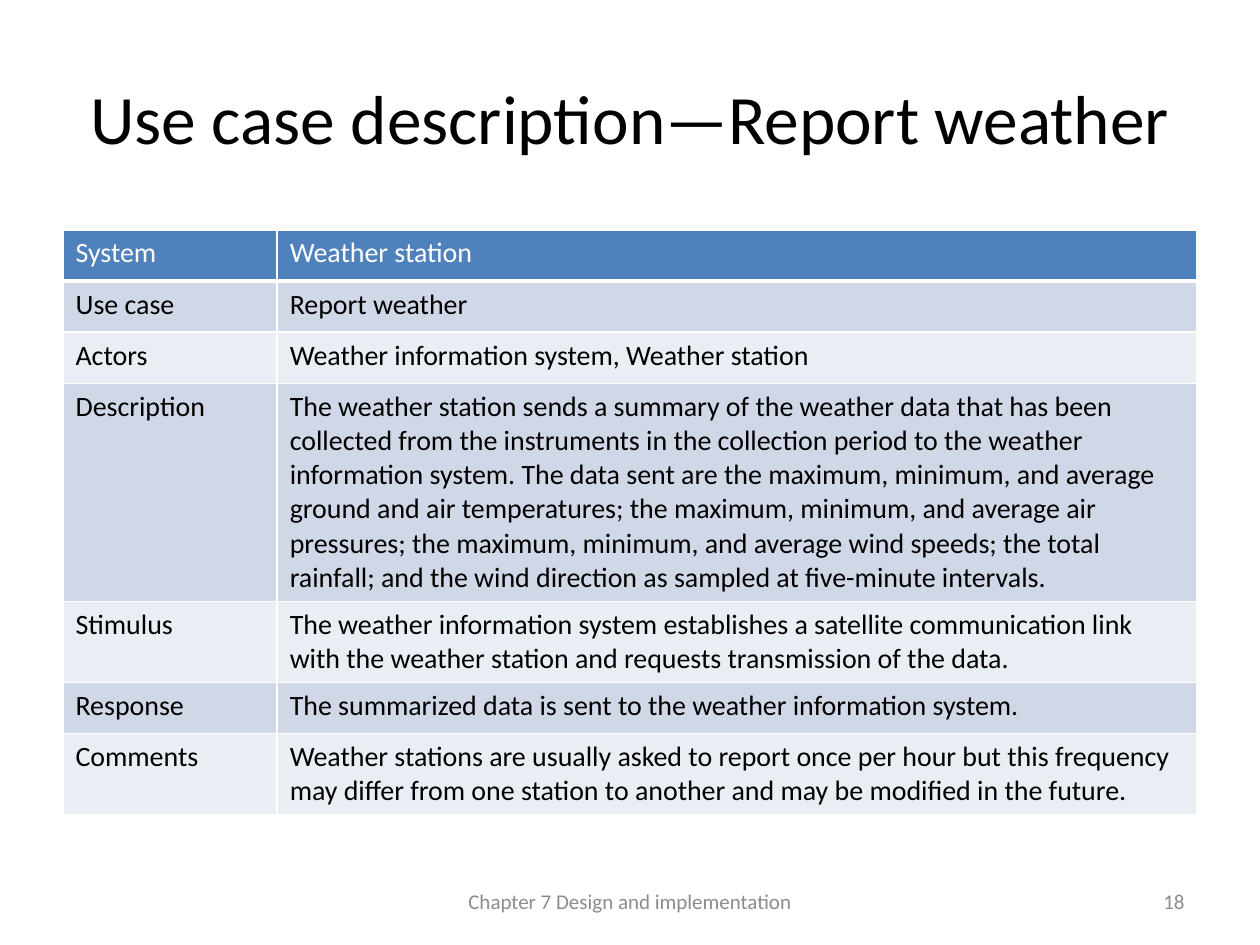
from lxml import etree
from pptx import Presentation
from pptx.dml.color import RGBColor
from pptx.enum.text import MSO_ANCHOR, MSO_AUTO_SIZE, PP_ALIGN
from pptx.oxml.ns import qn
from pptx.util import Pt

CENTER, RIGHT = PP_ALIGN.CENTER, PP_ALIGN.RIGHT
MIDDLE = MSO_ANCHOR.MIDDLE
NO_FIT = MSO_AUTO_SIZE.NONE

FONT = "Calibri"
WHITE, BLACK, GRAY = "FFFFFF", "000000", "8C8C8C"
HEADER_FILL = "4F81BD"
BAND_FILLS = ("D0D8E8", "E9EDF4")

TITLE = "Use case description—Report weather"
ROWS = [
    ("System", "Weather station"),
    ("Use case", "Report weather"),
    ("Actors", "Weather information system, Weather station"),
    ("Description",
     "The weather station sends a summary of the weather data that has been "
     "collected from the instruments in the collection period to the weather "
     "information system. The data sent are the maximum, minimum, and average "
     "ground and air temperatures; the maximum, minimum, and average air "
     "pressures; the maximum, minimum, and average wind speeds; the total "
     "rainfall; and the wind direction as sampled at five-minute intervals."),
    ("Stimulus",
     "The weather information system establishes a satellite communication link "
     "with the weather station and requests transmission of the data."),
    ("Response", "The summarized data is sent to the weather information system."),
    ("Comments",
     "Weather stations are usually asked to report once per hour but this "
     "frequency may differ from one station to another and may be modified "
     "in the future."),
]
FOOTERS = [
    ("Chapter 7 Design and implementation", 246, 228, CENTER),
    ("18", 516, 168, RIGHT),
]

LEFT, WIDTH = 36, 648
TABLE_TOP, ROW_HEIGHT = 131.4, 29.2
COLUMN_WIDTHS = (122.4, 525.6)
FOOTER_TOP, FOOTER_HEIGHT = 500.5, 28.75


def rgb(value):
    return RGBColor.from_string(value)


def style(p, size, color):
    for r in p.runs:
        r.font.name = FONT
        r.font.size = Pt(size)
        r.font.bold = False
        r.font.color.rgb = rgb(color)


def set_borders(cell, bottom):
    tc_pr = cell._tc.get_or_add_tcPr()
    widths = (("lnL", 1), ("lnR", 1), ("lnT", 1), ("lnB", bottom))
    for i, (tag, width) in enumerate(widths):
        ln = etree.Element(qn(f"a:{tag}"), w=str(Pt(width)))
        fill = etree.SubElement(ln, qn("a:solidFill"))
        etree.SubElement(fill, qn("a:srgbClr"), val=WHITE)
        tc_pr.insert(i, ln)


def add_title(s):
    title = s.shapes.title
    title.left, title.top = Pt(LEFT), Pt(21.6)
    title.width, title.height = Pt(WIDTH), Pt(90)
    tf = title.text_frame
    tf.text = TITLE
    tf.auto_size = NO_FIT
    tf.vertical_anchor = MIDDLE
    tf.paragraphs[0].alignment = CENTER
    style(tf.paragraphs[0], 39.6, BLACK)


def add_use_case_table(s):
    table = s.shapes.add_table(
        len(ROWS), len(COLUMN_WIDTHS), Pt(LEFT), Pt(TABLE_TOP),
        Pt(WIDTH), Pt(ROW_HEIGHT * len(ROWS))).table
    for column, width in zip(table.columns, COLUMN_WIDTHS):
        column.width = Pt(width)
    for i, texts in enumerate(ROWS):
        header = i == 0
        table.rows[i].height = Pt(ROW_HEIGHT)
        for j, text in enumerate(texts):
            cell = table.cell(i, j)
            cell.text_frame.text = text
            style(cell.text_frame.paragraphs[0], 16, WHITE if header else BLACK)
            cell.fill.solid()
            cell.fill.fore_color.rgb = rgb(
                HEADER_FILL if header else BAND_FILLS[(i - 1) % 2])
            set_borders(cell, 3 if header else 1)


def add_footers(s):
    for text, left, width, align in FOOTERS:
        tf = s.shapes.add_textbox(
            Pt(left), Pt(FOOTER_TOP), Pt(width), Pt(FOOTER_HEIGHT)).text_frame
        tf.word_wrap = True
        tf.vertical_anchor = MIDDLE
        tf.text = text
        tf.paragraphs[0].alignment = align
        style(tf.paragraphs[0], 12, GRAY)


def main():
    prs = Presentation()
    prs.slide_width, prs.slide_height = Pt(720), Pt(540)
    s = prs.slides.add_slide(prs.slide_layouts[5])
    add_title(s)
    add_use_case_table(s)
    add_footers(s)
    prs.save("out.pptx")


if __name__ == "__main__":
    main()
